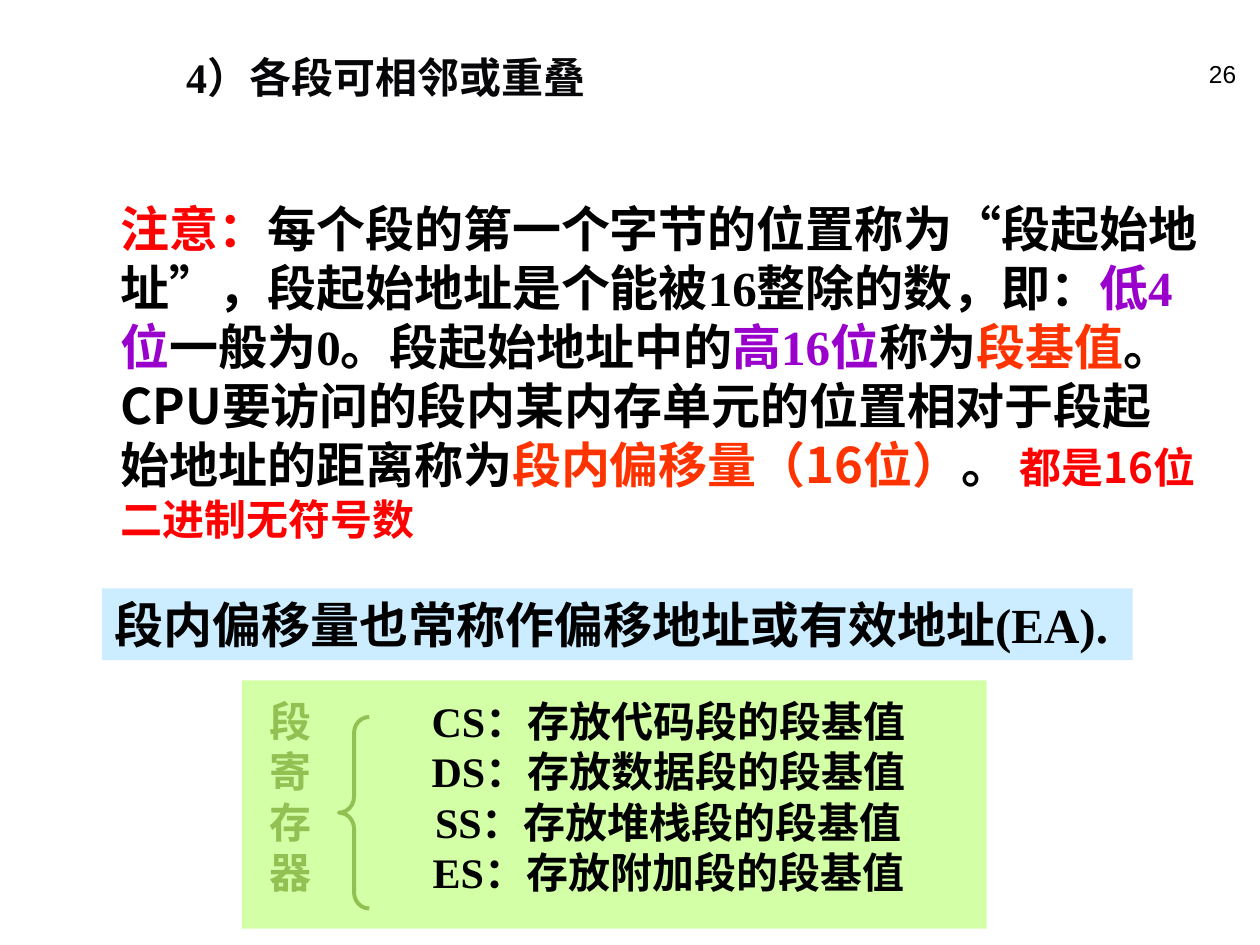
from dataclasses import dataclass
from typing import Optional

from pptx import Presentation
from pptx.dml.color import RGBColor
from pptx.enum import shapes, text
from pptx.util import Inches, Pt


@dataclass(frozen=True)
class Theme:
    serif: str = "Times New Roman"
    sans: str = "Noto Sans CJK SC"
    number_font: str = "Arial"
    heading: int = 24
    body: int = 28
    number: int = 14
    ink: str = "000000"
    title: str = "070709"
    red: str = "FF0000"
    purple: str = "9900CC"
    orange: str = "FF3300"
    green: str = "93C052"
    pale_green: str = "D3FFA7"
    pale_blue: str = "CCECFF"


THEME = Theme()


@dataclass(frozen=True)
class Box:
    left: float
    top: float
    width: float
    height: float

    def lengths(self):
        return tuple(Inches(n) for n in (self.left, self.top, self.width, self.height))


@dataclass(frozen=True)
class Style:
    size: int = THEME.body
    color: str = THEME.ink
    face: str = THEME.serif
    bold: bool = True


@dataclass(frozen=True)
class Span:
    words: str
    style: Style = Style()


@dataclass(frozen=True)
class Label:
    box: Box
    lines: tuple[str, ...]
    style: Style
    align: text.PP_ALIGN = text.PP_ALIGN.LEFT
    wrap: bool = True
    fill: Optional[str] = None


SANS = Style(face=THEME.sans)
NOTE_BOX = Box(0.86, 1.53, 8.74, 2.84)
NOTE = (
    Span("注意：", Style(color=THEME.red)),
    Span("每个段的第一个字节的位置称为“段起始地址”，段起始地址是个能被16整除的数，即："),
    Span("低4位", Style(color=THEME.purple)),
    Span("一般为0。段起始地址中的"),
    Span("高16位", Style(color=THEME.purple)),
    Span("称为"),
    Span("段基值", Style(color=THEME.orange)),
    Span("。 "),
    Span("CPU要访问的段内某内存单元的位置相对于段起始地址的距离称为", SANS),
    Span("段内偏移量（16位）", Style(color=THEME.orange, face=THEME.sans)),
    Span("。", SANS),
    Span(" 都是16位二进制无符号数", Style(THEME.heading, THEME.red, THEME.sans)),
)
REGISTERS = {"CS": "代码段", "DS": "数据段", "SS": "堆栈段", "ES": "附加段"}
REGISTER_PANEL = Box(1.92, 5.4, 5.91, 1.97)
BRACE = Box(2.69, 5.69, 0.24, 1.52)
LABELS = (
    Label(Box(1.38, 0.36, 3.44, 0.5), ("4）各段可相邻或重叠",),
          Style(THEME.heading, THEME.title), wrap=False),
    Label(Box(1.84, 5.47, 6.93, 1.7),
          tuple(f"{name}：存放{segment}的段基值" for name, segment in REGISTERS.items()),
          Style(THEME.heading), text.PP_ALIGN.CENTER),
    Label(Box(2.04, 5.47, 0.55, 1.7), ("段寄存器",), Style(THEME.heading, THEME.green)),
    Label(Box(0.81, 4.67, 8.18, 0.57), ("段内偏移量也常称作偏移地址或有效地址(EA).",),
          Style(), wrap=False, fill=THEME.pale_blue),
    Label(Box(7.83, 0.42, 2.08, 0.5), ("26",),
          Style(THEME.number, face=THEME.number_font, bold=False), text.PP_ALIGN.RIGHT),
)


def apply_style(font, style: Style) -> None:
    font.size = Pt(style.size)
    font.name = style.face
    font.bold = style.bold
    font.color.rgb = RGBColor.from_string(style.color)


def fill_solid(shape, color: str) -> None:
    shape.fill.solid()
    shape.fill.fore_color.rgb = RGBColor.from_string(color)


def add_label(slide, label: Label) -> None:
    shape = slide.shapes.add_textbox(*label.box.lengths())
    if label.fill:
        fill_solid(shape, label.fill)
    frame = shape.text_frame
    frame.word_wrap = label.wrap
    frame.text = "\n".join(label.lines)
    for paragraph in frame.paragraphs:
        paragraph.alignment = label.align
        apply_style(paragraph.font, label.style)


def add_note(slide, box: Box, spans: tuple[Span, ...]) -> None:
    """Add one wrapped paragraph of differently styled spans."""
    frame = slide.shapes.add_textbox(*box.lengths()).text_frame
    frame.word_wrap = True
    for span in spans:
        run = frame.paragraphs[0].add_run()
        run.text = span.words
        apply_style(run.font, span.style)


def add_panel(slide, box: Box, color: str) -> None:
    panel = slide.shapes.add_shape(shapes.MSO_SHAPE.RECTANGLE, *box.lengths())
    panel.shadow.inherit = False
    fill_solid(panel, color)
    panel.line.fill.background()


def add_brace(slide, box: Box, color: str) -> None:
    brace = slide.shapes.add_shape(shapes.MSO_SHAPE.LEFT_BRACE, *box.lengths())
    brace.shadow.inherit = False
    brace.adjustments[0] = 0.53
    brace.fill.background()
    brace.line.color.rgb = RGBColor.from_string(color)
    brace.line.width = Pt(2.25)


def main() -> None:
    presentation = Presentation()
    presentation.slide_width = Inches(10)
    presentation.slide_height = Inches(7.5)
    slide = presentation.slides.add_slide(presentation.slide_layouts[6])
    add_note(slide, NOTE_BOX, NOTE)
    add_panel(slide, REGISTER_PANEL, THEME.pale_green)
    add_brace(slide, BRACE, THEME.green)
    for label in LABELS:
        add_label(slide, label)
    presentation.save("out.pptx")


if __name__ == "__main__":
    main()
